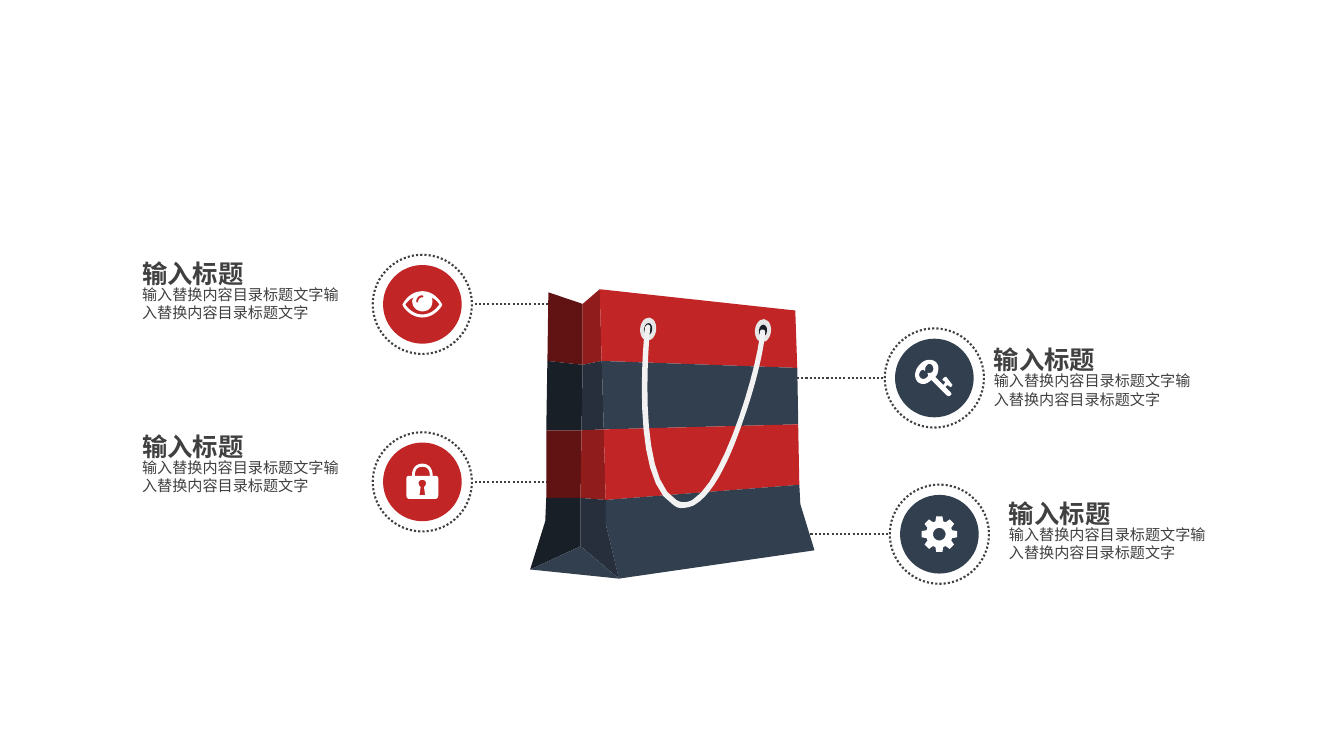
import math

import pptx
import pptx.dml.color
import pptx.enum.dml
import pptx.enum.shapes
import pptx.enum.text
import pptx.oxml
import pptx.oxml.ns
import pptx.util

Pt = pptx.util.Pt
RGBColor = pptx.dml.color.RGBColor
OVAL = pptx.enum.shapes.MSO_SHAPE.OVAL

RED = RGBColor(0xC1, 0x25, 0x25)
RED_FOLD = RGBColor(0x91, 0x1C, 0x1C)
RED_SIDE = RGBColor(0x61, 0x12, 0x12)
NAVY = RGBColor(0x32, 0x3F, 0x4F)
NAVY_FOLD = RGBColor(0x26, 0x2F, 0x3B)
NAVY_SIDE = RGBColor(0x19, 0x1F, 0x27)
WHITE = RGBColor(0xFF, 0xFF, 0xFF)
GRAY = RGBColor(0x40, 0x40, 0x40)
EYELET = RGBColor(0xE6, 0xE6, 0xE6)
HANDLE = RGBColor(0xF2, 0xF2, 0xF2)
FONT = "Noto Sans CJK SC"

presentation = pptx.Presentation()
presentation.slide_width, presentation.slide_height = Pt(960), Pt(540)
slide = presentation.slides.add_slide(presentation.slide_layouts[6])
shapes = slide.shapes


def add_outline(contours, color, left=0, top=0):
    """Fill closed contours; pairs are corners, sextuples are Bezier curves."""
    builder = None
    for contour in contours:
        points = [contour[0]]
        for step in contour[1:]:
            if len(step) == 2:
                points.append(step)
                continue
            x0, y0 = points[-1]
            x1, y1, x2, y2, x3, y3 = step
            for t in (n / 12 for n in range(1, 13)):
                a, b, c, d = (1 - t) ** 3, 3 * t * (1 - t) ** 2, 3 * t * t * (1 - t), t ** 3
                points.append((a * x0 + b * x1 + c * x2 + d * x3,
                               a * y0 + b * y1 + c * y2 + d * y3))
        places = [(Pt(left + x), Pt(top + y)) for x, y in points]
        if builder is None:
            builder = shapes.build_freeform(*places[0], scale=1.0)
        else:
            builder.move_to(*places[0])
        builder.add_line_segments(places[1:], close=True)
    shape = builder.convert_to_shape()
    shape.shadow.inherit = False
    shape.fill.solid()
    shape.fill.fore_color.rgb = color
    shape.line.fill.background()


def add_oval(x, y, width, height, color=None, rotation=0):
    """Centre an oval on x, y; without a fill colour it is a dotted ring."""
    shape = shapes.add_shape(OVAL, Pt(x - width / 2), Pt(y - height / 2), Pt(width), Pt(height))
    shape.shadow.inherit = False
    shape.rotation = rotation
    if color is None:
        shape.fill.background()
        shape.line.color.rgb = GRAY
        shape.line.width = Pt(1.5)
        shape.line.dash_style = pptx.enum.dml.MSO_LINE.ROUND_DOT
    else:
        shape.fill.solid()
        shape.fill.fore_color.rgb = color
        shape.line.fill.background()


# Icon contours, relative to the centre of their disc
eye = [
    [(13.7, 1.4), (10.8, 5.8, 5.8, 9.4, 0, 9.4), (-5.8, 9.4, -10.8, 5.8, -13.7, 1.4),
     (-14.2, 0), (-13.7, -0.7), (-10.8, -5.8, -5.8, -9.4, 0, -9.4),
     (5.8, -9.4, 10.8, -5.8, 13.7, -0.7), (14.2, 0)],
    [(5.8, -5), (7.2, -4.3, 7.2, -3.6, 7.2, -2.2), (7.2, 2.2, 4.3, 5, 0, 5),
     (-3.6, 5, -7.2, 2.2, -7.2, -2.2), (-7.2, -3.6, -6.5, -4.3, -5.8, -5),
     (-8.6, -4.3, -10.1, -2.2, -12.2, 0), (-9.4, 4.3, -5, 7.2, 0, 7.2),
     (5, 7.2, 9.4, 4.3, 12.2, 0), (10.8, -2.2, 8.6, -4.3, 5.8, -5)],
    [(0, -6.5), (-2.9, -6.5, -4.3, -4.3, -4.3, -2.2), (-4.3, -1.4, -4.3, -1.4, -3.6, -1.4),
     (-2.9, -1.4, -2.9, -1.4, -2.9, -2.2), (-2.9, -3.6, -1.4, -5, 0, -5),
     (0.7, -5, 0.7, -5, 0.7, -5.8), (0.7, -6.5, 0, -6.5, 0, -6.5)],
]
lock = [
    [(9, -4.3), (7.4, -4.3), (7.4, -10.1, 4.3, -13, 0, -13), (-4.3, -13, -7.4, -10.1, -7.4, -4.3),
     (-9, -4.3), (-10.8, -4.3, -11.4, -3.6, -11.4, -2.2), (-11.4, 9.4),
     (-11.4, 10.8, -10.8, 12.2, -9, 12.2), (9, 12.2), (10.8, 12.2, 11.4, 10.8, 11.4, 9.4),
     (11.4, -2.2), (11.4, -3.6, 10.8, -4.3, 9, -4.3)],
    [(2, 9.4), (-2, 9.4), (-1.2, 3.6), (-2.2, 2.9, -2.6, 2.2, -2.6, 0.7),
     (-2.6, -0.7, -1.4, -1.4, 0, -1.4), (1.4, -1.4, 2.6, -0.7, 2.6, 0.7),
     (2.6, 2.2, 2.2, 2.9, 1.2, 3.6)],
    [(-5.4, -4.3), (-5.4, -9.4, -2.9, -10.8, 0, -10.8), (2.9, -10.8, 5.4, -9.4, 5.4, -4.3)],
]
key = [
    [(11.5, 6.5), (9.4, 5), (7.9, 6.5), (11.5, 10.1), (11.5, 10.1, 12.2, 10.8, 12.2, 11.5),
     (12.2, 12.2, 10.8, 13, 10.1, 13), (8.6, 12.2), (-2.2, 1.4), (-3.6, 2.9, -5.8, 4.3, -7.9, 4.3),
     (-11.5, 4.3, -13.7, 1.4, -13.7, -2.2), (-13.7, -7.2, -8.6, -13, -3.6, -13),
     (0, -13, 2.9, -10.8, 2.9, -7.2), (2.9, -4.3, 2.2, -2.2, 0.7, -0.7), (6.5, 5), (7.9, 2.9),
     (5.8, 1.4), (5.8, 0.7, 7.2, -0.7, 7.9, -0.7), (8.6, -0.7), (13, 5),
     (13, 5, 12.2, 6.5, 11.5, 6.5)],
    [(-3.6, -10.1), (-5, -10.1, -6.5, -7.9, -6.5, -6.5), (-6.5, -5),
     (-7.2, -5, -7.2, -5.8, -7.9, -5.8), (-9.4, -5.8, -10.8, -4.3, -10.8, -2.2),
     (-10.8, -0.7, -9.4, 0.7, -7.9, 0.7), (-6.5, 0.7, -4.3, -0.7, -4.3, -2.2),
     (-5, -3.6), (-3.6, -3.6), (-1.4, -3.6, -0.7, -5, -0.7, -6.5),
     (-0.7, -7.9, -1.4, -10.1, -3.6, -10.1)],
]
tooth = [(-17, 9.6), (-10, 12.9), (10, 12.9), (17, 9.6)]
gear_rim = [(45 * n + angle, radius) for n in range(8) for angle, radius in tooth]
gear_hole = [(15 * n, 4.5) for n in range(24)]
gear = [[(radius * math.cos(math.radians(angle)), radius * math.sin(math.radians(angle)))
         for angle, radius in ring] for ring in (gear_rim, gear_hole)]

# Four callouts: disc centre, colour, icon, connector ends, text position
callouts = [
    (301.7, 217.4, RED, eye, 339.1, 393.1, 86.4, 184.3),
    (301.7, 344.2, RED, lock, 339.1, 393.1, 86.4, 308.2),
    (667.4, 270, NAVY, key, 557.3, 630.7, 694.8, 246.2),
    (671, 381.6, NAVY, gear, 560.9, 634.3, 705.6, 355.7),
]
for x, y, color, icon, start, end, left, top in callouts:
    connector = shapes.add_connector(pptx.enum.shapes.MSO_CONNECTOR.STRAIGHT,
                                     Pt(start), Pt(y), Pt(end), Pt(y))
    connector.line.color.rgb = GRAY
    connector.line.width = Pt(1.5)
    connector.line.dash_style = pptx.enum.dml.MSO_LINE.ROUND_DOT
    connector._element.spPr.append(pptx.oxml.parse_xml(
        "<a:effectLst %s/>" % pptx.oxml.ns.nsdecls("a")))
    add_oval(x, y, 56.2, 56.2, color)
    add_outline(icon, WHITE, x, y)
    add_oval(x, y, 70.8, 70.8)

    # Title and body text
    for text, offset, width, height, size, bold, wrap in (
            ("输入标题", 0, 203.8, 19.4, 18.1, True, False),
            ("输入替换内容目录标题文字输入替换内容目录标题文字", 19.4, 173.5, 42.5, 10.8, False, True)):
        frame = shapes.add_textbox(Pt(left), Pt(top + offset), Pt(width), Pt(height)).text_frame
        frame_format = {"word_wrap": wrap, "margin_left": Pt(15.1), "margin_right": Pt(15.1),
                        "margin_top": 0, "margin_bottom": 0,
                        "vertical_anchor": pptx.enum.text.MSO_ANCHOR.TOP}
        for name, value in frame_format.items():
            setattr(frame, name, value)
        run = frame.paragraphs[0].add_run()
        run.text = text
        for name, value in {"name": FONT, "size": Pt(size), "bold": bold}.items():
            setattr(run.font, name, value)
        run.font.color.rgb = GRAY
        run._r.get_or_add_rPr().append(pptx.oxml.parse_xml(
            '<a:ea %s typeface="%s"/>' % (pptx.oxml.ns.nsdecls("a"), FONT)))

# Bag: four upright edges, listed from top to bottom
back = [(391.7, 208.8), (391, 257.8), (390.2, 307.4), (390.2, 355.7), (389.5, 372.2), (378.7, 406.8)]
fold = [(416.2, 217.1), (416.2, 260.6), (415.4, 307.4), (414.7, 355.7), (414.7, 390.2)]
front = [(428.4, 206.6), (429.8, 257.8), (431.3, 306.7), (432.7, 357.1), (432.7, 374.4), (442.1, 413.3)]
right = [(568.1, 221.8), (569.5, 262.8), (570.2, 303.1), (571, 346.3), (571.7, 360), (581.8, 393.1)]
faces = [(back, fold, RED_SIDE, NAVY_SIDE), (fold, front, RED_FOLD, NAVY_FOLD), (front, right, RED, NAVY)]
for near, far, red, navy in faces:
    for band in range(4):
        stop = band + 2 if band < 3 else None
        add_outline([near[band:stop] + far[band:stop][::-1]], navy if band % 2 else red)
add_outline([[back[-1], fold[-1], front[-1]]], NAVY)

# Eyelets and handle
for x, y in ((545, 236.2), (463, 235.1)):
    add_oval(x, y, 11.5, 16.6, EYELET, 6.1)
    add_oval(x, y, 5.8, 8.6, NAVY_SIDE, 6.1)
add_outline([[
    (486.7, 362.9), (484.6, 362.9, 483.1, 362.2, 481, 360.7), (449.3, 342.7, 460.1, 238.3, 460.8, 234),
    (460.8, 233.3, 462.2, 231.8, 463, 231.8), (463.7, 231.8, 465.1, 233.3, 464.4, 234.7),
    (464.4, 235.4, 453.6, 340.6, 483.1, 357.1), (486.7, 359.3, 490.3, 359.3, 494.6, 357.1),
    (519.1, 342.7, 542.9, 253.4, 542.9, 236.9), (542.9, 236.2, 543.6, 235.4, 544.3, 235.4),
    (545.8, 235.4, 546.5, 236.2, 546.5, 236.9), (546.5, 245.5, 540.7, 272.9, 531.4, 298.8),
    (523.4, 322.6, 511.2, 352.1, 496.1, 360.7), (493.2, 362.2, 489.6, 362.9, 486.7, 362.9)]], HANDLE)

presentation.save("out.pptx")
